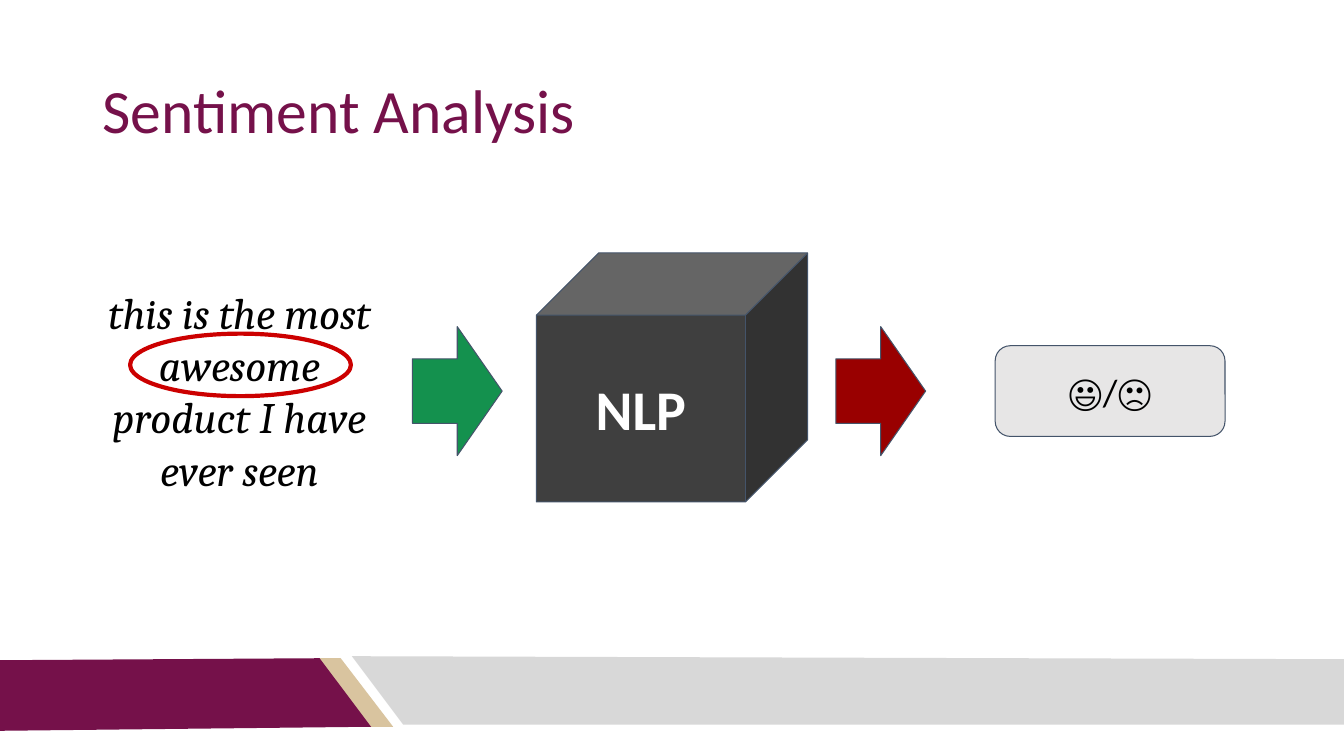
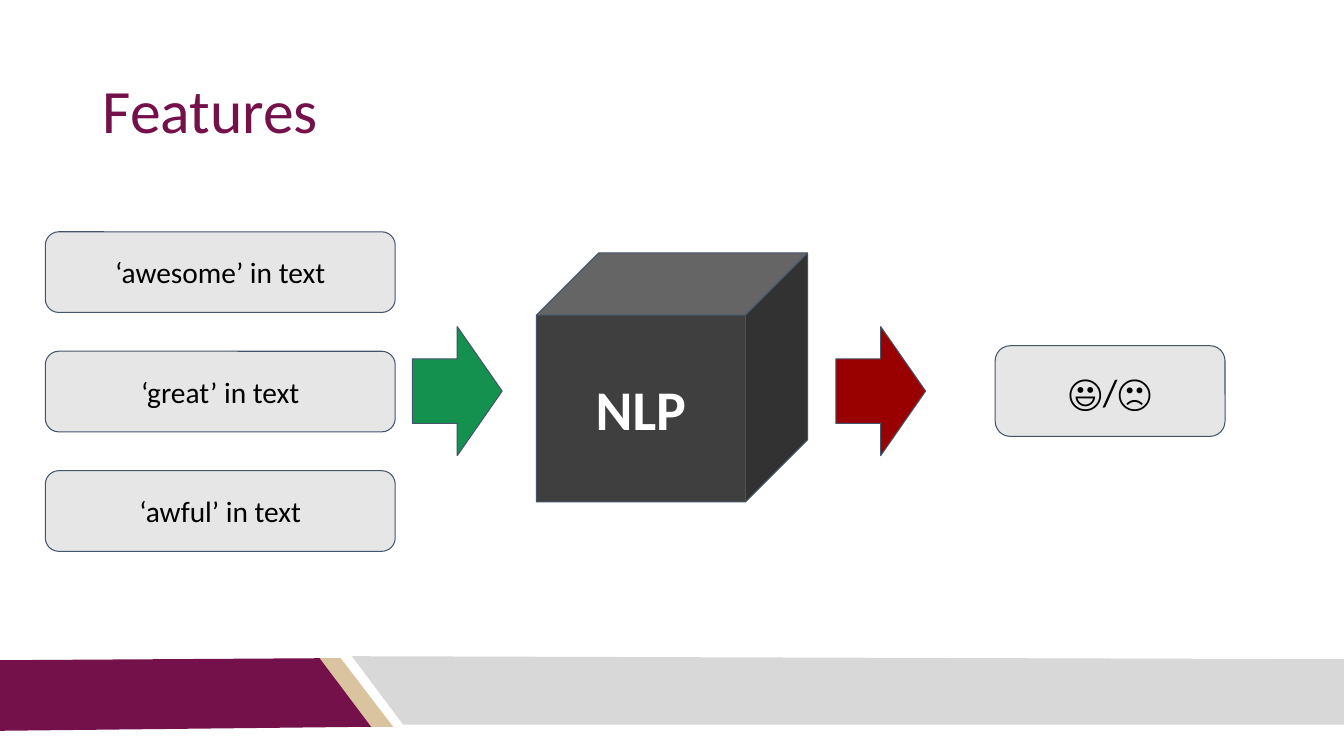
from pptx import Presentation
from pptx.dml.color import RGBColor
from pptx.enum.shapes import MSO_SHAPE
from pptx.enum.text import MSO_ANCHOR, PP_ALIGN
from pptx.util import Inches, Pt

CUBE, ARROW = MSO_SHAPE.CUBE, MSO_SHAPE.RIGHT_ARROW
ROUNDED, OVAL = MSO_SHAPE.ROUNDED_RECTANGLE, MSO_SHAPE.OVAL
TOP, MIDDLE = MSO_ANCHOR.TOP, MSO_ANCHOR.MIDDLE
LEFT, CENTER = PP_ALIGN.LEFT, PP_ALIGN.CENTER

COLORS = {
    "maroon": "75114A", "sand": "D9C49F", "band": "D8D8D8",
    "cube": "3F3F3F", "outline": "44546A", "green": "14914E",
    "red": "990000", "ring": "CC0000", "card": "E7E6E6",
    "black": "000000", "white": "FFFFFF",
}
SLIDE_W, SLIDE_H = 13.33, 7.5
TITLE_BOX = (0.92, 0.4, 11.5, 1.45)
BAND_BOX = (0, 6.51, SLIDE_W, 0.74)
INPUT_BOX = (0.45, 2.3, 3.47, 3.17)
MODEL_BOX = (4.09, 2.51, 8.06, 2.47)


def rgb(name):
    return RGBColor.from_string(COLORS[name])


def inches(*values):
    return [Inches(v) for v in values]


def write(sp, text, size, color="black", font="Calibri", align=CENTER,
          anchor=MIDDLE, bold=False, italic=False):
    tf = sp.text_frame
    tf.word_wrap = True
    tf.vertical_anchor = anchor
    tf.margin_left = tf.margin_right = Inches(0.1)
    tf.margin_top = tf.margin_bottom = Inches(0.1)
    p = tf.paragraphs[0]
    p.alignment = align
    r = p.add_run()
    r.text = text
    r.font.name, r.font.size = font, Pt(size)
    r.font.bold, r.font.italic = bold, italic
    r.font.color.rgb = rgb(color)
    return p


def add_shape(s, kind, box, fill=None, line="outline", width=0.75):
    sp = s.shapes.add_shape(kind, *inches(*box))
    sp.shadow.inherit = False
    if fill:
        sp.fill.solid()
        sp.fill.fore_color.rgb = rgb(fill)
    else:
        sp.fill.background()
    sp.line.color.rgb = rgb(line)
    sp.line.width = Pt(width)
    return sp


def add_card(s, box, text, size):
    write(add_shape(s, ROUNDED, box, "card"), text, size)


def add_band(s, box):
    """Slanted footer band in three colours."""
    x, y, w, h = box
    pieces = [
        ("sand", [(3.16, 0.02), (3.38, 0.02), (3.9, 0.7), (3.67, 0.7)]),
        ("maroon", [(0, 0.04), (3.17, 0.02), (3.68, 0.7), (0, h)]),
        ("band", [(3.49, 0), (w, 0.03), (w, 0.68), (4, 0.68)]),
    ]
    for color, points in pieces:
        corners = [inches(x + dx, y + dy) for dx, dy in points]
        outline = s.shapes.build_freeform(*corners[0], scale=1.0)
        outline.add_line_segments(corners[1:], close=True)
        sp = outline.convert_to_shape()
        sp.shadow.inherit = False
        sp.fill.solid()
        sp.fill.fore_color.rgb = rgb(color)
        sp.line.fill.background()


def add_title(s, box, text):
    p = write(s.shapes.add_textbox(*inches(*box)), text, 44, "maroon", align=LEFT)
    p.line_spacing = 0.9


def add_model(s, box):
    """Arrow into the NLP cube, arrow out, and the predicted mood."""
    x, y, w, h = box
    cube = add_shape(s, CUBE, (x + 1.23, y, 2.69, h), "cube")
    write(cube, "NLP", 40, "white", bold=True)
    for dx, color in ((0, "green"), (4.2, "red")):
        add_shape(s, ARROW, (x + dx, y + 0.73, 0.89, 1.28), color)
    add_card(s, (x + w - 2.28, y + 0.92, 2.28, 0.9), "😃/🙁", 27)


def add_review(s, box):
    """Sample review with the telling word circled."""
    x, y, w, h = box
    review = s.shapes.add_textbox(*inches(x + 0.41, y + 0.44, 3.03, 2.29))
    write(review, "this is the most awesome product I have ever seen", 31,
          font="Cambria", anchor=TOP, italic=True)
    add_shape(s, OVAL, (x + 0.84, y + 1.01, 2.19, 0.62), line="ring", width=3)


def add_features(s, box, words):
    """Evenly spaced cards, one for each word feature."""
    x, y, w, h = box
    card_h = 0.8
    step = (h - card_h) / (len(words) - 1)
    for i, word in enumerate(words):
        add_card(s, (x, y + i * step, w, card_h), f"‘{word}’ in text", 21)


def new_slide(prs, title):
    s = prs.slides.add_slide(prs.slide_layouts[6])
    add_band(s, BAND_BOX)
    add_title(s, TITLE_BOX, title)
    add_model(s, MODEL_BOX)
    return s


def main():
    prs = Presentation()
    prs.slide_width, prs.slide_height = inches(SLIDE_W, SLIDE_H)
    add_review(new_slide(prs, "Sentiment Analysis"), INPUT_BOX)
    add_features(new_slide(prs, "Features"), INPUT_BOX,
                 ["awesome", "great", "awful"])
    prs.save("out.pptx")


if __name__ == "__main__":
    main()
